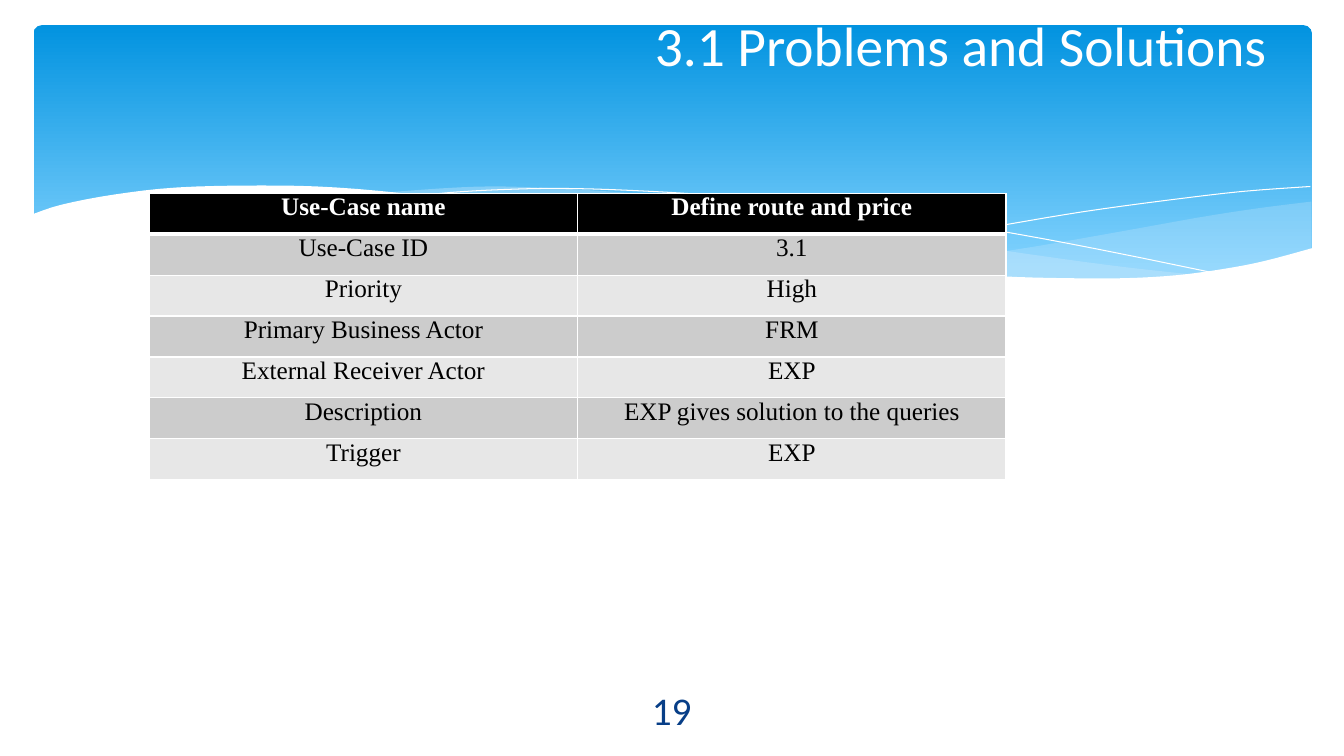
from lxml.etree import SubElement
from pptx import Presentation
from pptx.dml.color import RGBColor
from pptx.enum.shapes import MSO_SHAPE
from pptx.enum.text import MSO_ANCHOR, PP_ALIGN
from pptx.oxml import parse_xml
from pptx.oxml.ns import nsdecls, qn
from pptx.util import Pt

WHITE = RGBColor(0xFF, 0xFF, 0xFF)
BLACK = RGBColor(0x00, 0x00, 0x00)
SKY = RGBColor(0x02, 0x93, 0xE0)
LIGHT_SKY = RGBColor(0x83, 0xD3, 0xFE)
PALE = RGBColor(0xC6, 0xE7, 0xFC)
NAVY = RGBColor(0x07, 0x3E, 0x87)
DARK_ROW = RGBColor(0xCC, 0xCC, 0xCC)
LIGHT_ROW = RGBColor(0xE7, 0xE7, 0xE7)

RIGHT_WAVE = [
    [(912.7, 126), (873, 131), (831.4, 137.5), (775.2, 147.6), (699.6, 160.6), (611, 172.8)],
    [(611, 172.8), (652.8, 177), (702.5, 180.7), (747, 182.2), (795.4, 180.7),
     (837, 176.4), (873.8, 170.6), (912.7, 159.8)],
]
MIDDLE_WAVE = [
    [(832.8, 178.6), (779.5, 172.8), (720.5, 164.9), (653.5, 154.8), (580, 141.8),
     (522.5, 131.8), (470, 124.6), (421.7, 119.5), (359, 115.9), (323, 115.2),
     (290.6, 116.6), (251, 119.5)],
    [(251, 119.5), (304.3, 125.3), (364, 133.9), (447, 149), (519.6, 160.6),
     (585, 169.9), (642.7, 176.4), (694.6, 180.7), (740, 182.2), (781, 182.2),
     (816.2, 180), (832.8, 178.6)],
]
FALLING_LINE = [
    [(272.6, 122.4), (297.8, 119.5), (335.3, 117.4), (375.6, 116.6), (426, 118),
     (487.2, 121.7), (560, 128.9), (643.4, 139.7), (706, 149.8), (773.8, 162.7),
     (847.2, 177.8)],
]
RISING_LINE = [
    [(565, 167), (621, 155.5), (693.8, 142.6), (750, 133.2), (807.6, 125.3),
     (863, 118.8), (912, 115.2)],
]
LOWER_EDGE = [
    [(-1.7, 135.4), (20, 128.2), (57.4, 121), (102.7, 115.9), (161.8, 114.5),
     (215.8, 115.9), (279, 121.7), (351, 131), (432.5, 145.4), (508.8, 158.4),
     (576.5, 167.8), (637, 175), (690.2, 179.3), (737.8, 180.7), (779.5, 180.7),
     (816.2, 178.6), (849.4, 174.2), (878.9, 168.5), (914.2, 159)],
    [(914.2, 219), (-1.7, 219)],
]

USE_CASE = [
    ("Use-Case name", "Define route and price"),
    ("Use-Case ID", "3.1"),
    ("Priority", "High"),
    ("Primary Business Actor", "FRM"),
    ("External Receiver Actor", "EXP"),
    ("Description", "EXP gives solution to the queries"),
    ("Trigger", "EXP"),
]


def write(tf, text, font="Calibri", size=18, color=BLACK, bold=False,
          align=PP_ALIGN.CENTER):
    p = tf.paragraphs[0]
    p.alignment = align
    r = p.add_run()
    r.text = text
    r.font.name = font
    r.font.size = Pt(size)
    r.font.bold = bold
    r.font.color.rgb = color


def smooth(knots, steps=4):
    padded = [knots[0], *knots, knots[-1]]
    points = [knots[0]]
    for a, b, c, d in zip(padded, padded[1:], padded[2:], padded[3:]):
        for t in (i / steps for i in range(1, steps + 1)):
            points.append(tuple(
                (2 * q + (r - p) * t + (2 * p - 5 * q + 4 * r - u) * t ** 2
                 + (3 * q - p - 3 * r + u) * t ** 3) / 2
                for p, q, r, u in zip(a, b, c, d)))
    return points


def add_wave(s, x, y, edges, fill=None, alpha=100):
    points = [(Pt(x + px), Pt(y + py)) for edge in edges for px, py in smooth(edge)]
    builder = s.shapes.build_freeform(*points[0])
    builder.add_line_segments(points[1:], close=fill is not None)
    sp = builder.convert_to_shape()
    sp.shadow.inherit = False
    if fill is None:
        sp.fill.background()
        sp.line.color.rgb = WHITE
        sp.line.width = Pt(0)
        return
    sp.fill.solid()
    sp.fill.fore_color.rgb = fill
    sp.line.fill.background()
    if alpha < 100:
        color = sp._element.spPr.find(".//" + qn("a:srgbClr"))
        SubElement(color, qn("a:alpha")).set("val", str(alpha * 1000))


def add_banner(s, x, y, w, h):
    sp = s.shapes.add_shape(MSO_SHAPE.ROUNDED_RECTANGLE, Pt(x), Pt(y), Pt(w), Pt(h))
    sp.adjustments[0] = 0.03
    sp.shadow.inherit = False
    sp.line.fill.background()
    sp.fill.gradient()
    sp.fill.gradient_angle = 270
    for stop, color, position in zip(sp.fill.gradient_stops, (SKY, LIGHT_SKY), (0, 0.9)):
        stop.color.rgb = color
        stop.position = position
    add_wave(s, x, y, RIGHT_WAVE, PALE, 29)
    add_wave(s, x, y, MIDDLE_WAVE, PALE, 40)
    add_wave(s, x, y, FALLING_LINE)
    add_wave(s, x, y, RISING_LINE)
    add_wave(s, x, y, LOWER_EDGE, WHITE)


def set_borders(cell, **widths):
    tcPr = cell._tc.get_or_add_tcPr()
    for i, (side, width) in enumerate(widths.items()):
        tcPr.insert(i, parse_xml(
            f'<a:ln{side} {nsdecls("a")} w="{Pt(width)}"><a:solidFill>'
            f'<a:srgbClr val="{WHITE}"/></a:solidFill></a:ln{side}>'))


def add_use_case_table(s, x, y, w, h):
    rows, cols = len(USE_CASE), len(USE_CASE[0])
    table = s.shapes.add_table(rows, cols, Pt(x), Pt(y), Pt(w), Pt(h)).table
    for column in table.columns:
        column.width = Pt(w / cols)
    for i, values in enumerate(USE_CASE):
        table.rows[i].height = Pt(h / rows)
        header = i == 0
        for j, value in enumerate(values):
            cell = table.cell(i, j)
            cell.margin_left = cell.margin_right = Pt(5)
            cell.margin_top = cell.margin_bottom = Pt(0)
            cell.fill.solid()
            cell.fill.fore_color.rgb = BLACK if header else (LIGHT_ROW, DARK_ROW)[i % 2]
            set_borders(cell, L=1, R=1, T=3 if i == 1 else 1, B=3 if header else 1)
            write(cell.text_frame, value, font="Times New Roman", bold=header,
                  color=WHITE if header else BLACK)


def add_page_number(s, x, y, w, h):
    tf = s.shapes.add_textbox(Pt(x), Pt(y), Pt(w), Pt(h)).text_frame
    tf.word_wrap = True
    tf.vertical_anchor = MSO_ANCHOR.MIDDLE
    write(tf, "19", size=28, color=NAVY)


def place_title(s, x, y, w, h):
    title = s.shapes.title
    title.left, title.top, title.width, title.height = Pt(x), Pt(y), Pt(w), Pt(h)
    tf = title.text_frame
    tf.vertical_anchor = MSO_ANCHOR.MIDDLE
    tf.margin_top = Pt(0)
    tf.margin_bottom = Pt(h - 10)
    write(tf, "3.1 Problems and Solutions", size=39.6, color=WHITE, align=PP_ALIGN.RIGHT)
    title._element.getparent().append(title._element)


def main():
    prs = Presentation()
    prs.slide_width, prs.slide_height = Pt(960), Pt(540)
    s = prs.slides.add_slide(prs.slide_layouts[5])
    add_banner(s, 24, 18, 913, 194.4)
    add_use_case_table(s, 106.6, 138.2, 612, 204.5)
    add_page_number(s, 419, 492.5, 121.7, 28.8)
    place_title(s, 48, 26.6, 864, 98.6)
    prs.save("out.pptx")


if __name__ == "__main__":
    main()
